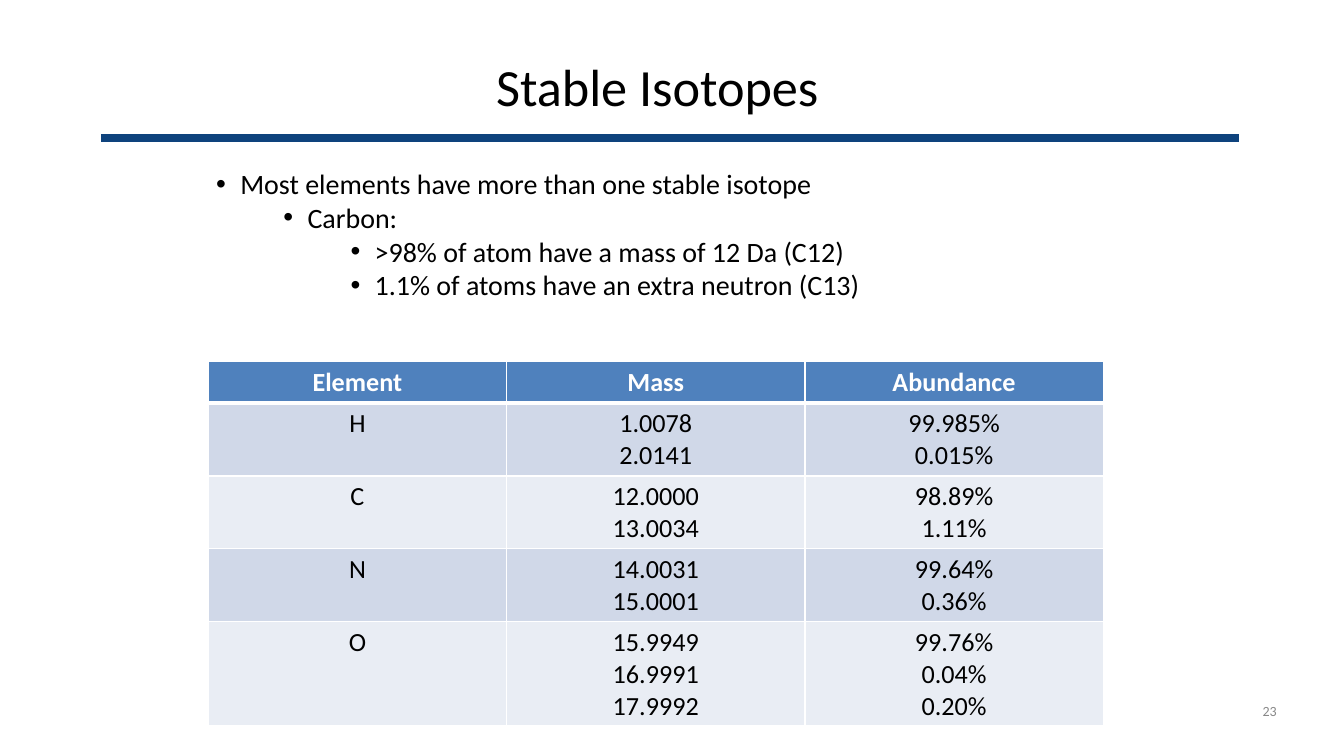
from dataclasses import dataclass
from typing import NamedTuple

from lxml.etree import SubElement
from pptx import Presentation
from pptx.dml.color import RGBColor as Rgb
from pptx.enum.shapes import MSO_CONNECTOR as Link
from pptx.enum.text import MSO_ANCHOR as Anchor, PP_ALIGN as Align
from pptx.oxml.ns import qn
from pptx.util import Inches, Pt


@dataclass(frozen=True)
class Theme:
    font: str = "Calibri"
    ink: str = "000000"
    pale: str = "FFFFFF"
    gray: str = "888888"
    rule: str = "0E437D"
    head: str = "4F81BD"
    bands: tuple = ("D0D8E8", "E9EDF4")
    title: float = 28
    body: float = 15
    cell: float = 14
    page: float = 7.5


class Box(NamedTuple):
    x: float
    y: float
    w: float
    h: float


class Point(NamedTuple):
    text: str
    level: int


class Atom(NamedTuple):
    name: str
    mass: tuple
    share: tuple


THEME = Theme()
WIDE = Inches(10)
HIGH = WIDE * 9 // 16
POINTS = [
    Point("Most elements have more than one stable isotope", 0),
    Point("Carbon:", 1),
    Point(">98% of atom have a mass of 12 Da (C12)", 2),
    Point("1.1% of atoms have an extra neutron (C13)", 2),
]
HEADS = ("Element", "Mass", "Abundance")
ATOMS = [
    Atom("H", ("1.0078", "2.0141"), ("99.985%", "0.015%")),
    Atom("C", ("12.0000", "13.0034"), ("98.89%", "1.11%")),
    Atom("N", ("14.0031", "15.0001"), ("99.64%", "0.36%")),
    Atom("O", ("15.9949", "16.9991", "17.9992"), ("99.76%", "0.04%", "0.20%")),
]


def place(box: Box) -> tuple:
    return (int(WIDE * box.x / 100), int(HIGH * box.y / 100),
            int(WIDE * box.w / 100), int(HIGH * box.h / 100))


def write(frame, lines, *, size: float, color: str = THEME.ink,
          bold: bool = False, align=Align.LEFT) -> None:
    for i, line in enumerate(lines):
        para = frame.paragraphs[0] if i == 0 else frame.add_paragraph()
        if isinstance(line, Point):
            para.level = line.level
            props = para._p.get_or_add_pPr()
            props.set("marL", str(Inches(0.18 + 0.5 * line.level)))
            props.set("indent", str(Inches(-0.18)))
            SubElement(props, qn("a:buFont"), typeface="Arial")
            SubElement(props, qn("a:buChar"), char="•")
            line = line.text
        para.alignment = align
        run = para.add_run()
        run.text = line
        font = run.font
        font.name, font.size, font.bold = THEME.font, Pt(size), bold
        font.color.rgb = Rgb.from_string(color)


def label(slide, box: Box, lines, *, inset: tuple = (0, 0),
          anchor=Anchor.TOP, **style) -> None:
    frame = slide.shapes.add_textbox(*place(box)).text_frame
    frame.word_wrap = True
    frame.vertical_anchor = anchor
    frame.margin_left = frame.margin_right = Inches(inset[0])
    frame.margin_top = frame.margin_bottom = Inches(inset[1])
    write(frame, lines, **style)


def rule(slide, x: float, y: float, end: float) -> None:
    left, top, right, _ = place(Box(x, y, end, 0))
    line = slide.shapes.add_connector(Link.STRAIGHT, left, top, right, top)
    line.line.color.rgb = Rgb.from_string(THEME.rule)
    line.line.width = Pt(4)
    SubElement(line._element.spPr, qn("a:effectLst"))


def edge(cell, **widths: float) -> None:
    props = cell._tc.get_or_add_tcPr()
    for side, width in widths.items():
        line = SubElement(props, qn(f"a:ln{side}"), w=str(Pt(width)))
        fill = SubElement(line, qn("a:solidFill"))
        SubElement(fill, qn("a:srgbClr"), val=THEME.pale)


def grid(slide, box: Box) -> None:
    rows = [[(head,) for head in HEADS]]
    rows += [[(atom.name,), atom.mass, atom.share] for atom in ATOMS]
    table = slide.shapes.add_table(len(rows), len(HEADS), *place(box)).table
    for r, row in enumerate(rows):
        table.rows[r].height = Inches(0.08 + 0.22 * max(map(len, row)))
        top = r == 0
        fill = THEME.head if top else THEME.bands[(r - 1) % 2]
        for c, lines in enumerate(row):
            cell = table.cell(r, c)
            edge(cell, L=1, R=1, T=3 if r == 1 else 1, B=3 if top else 1)
            cell.fill.solid()
            cell.fill.fore_color.rgb = Rgb.from_string(fill)
            cell.margin_left = cell.margin_right = Pt(5.4)
            cell.margin_top = cell.margin_bottom = Pt(2.7)
            write(cell.text_frame, lines, size=THEME.cell, bold=top,
                  color=THEME.pale if top else THEME.ink, align=Align.CENTER)


def main() -> None:
    deck = Presentation()
    deck.slide_width, deck.slide_height = WIDE, HIGH
    slide = deck.slides.add_slide(deck.slide_layouts[6])
    rule(slide, 7.5, 18.28, 92.2)
    label(slide, Box(2.2, 7.15, 93.4, 10.31), ["Stable Isotopes"],
          size=THEME.title, align=Align.CENTER)
    label(slide, Box(93.8, 92.98, 1.2, 2.13), ["23"], size=THEME.page,
          color=THEME.gray, align=Align.RIGHT, anchor=Anchor.MIDDLE)
    label(slide, Box(15.1, 21.2, 70.8, 19.73), POINTS, size=THEME.body,
          inset=(0.1, 0.05))
    grid(slide, Box(15.5, 47.82, 66.6, 48.18))
    deck.save("out.pptx")


if __name__ == "__main__":
    main()
